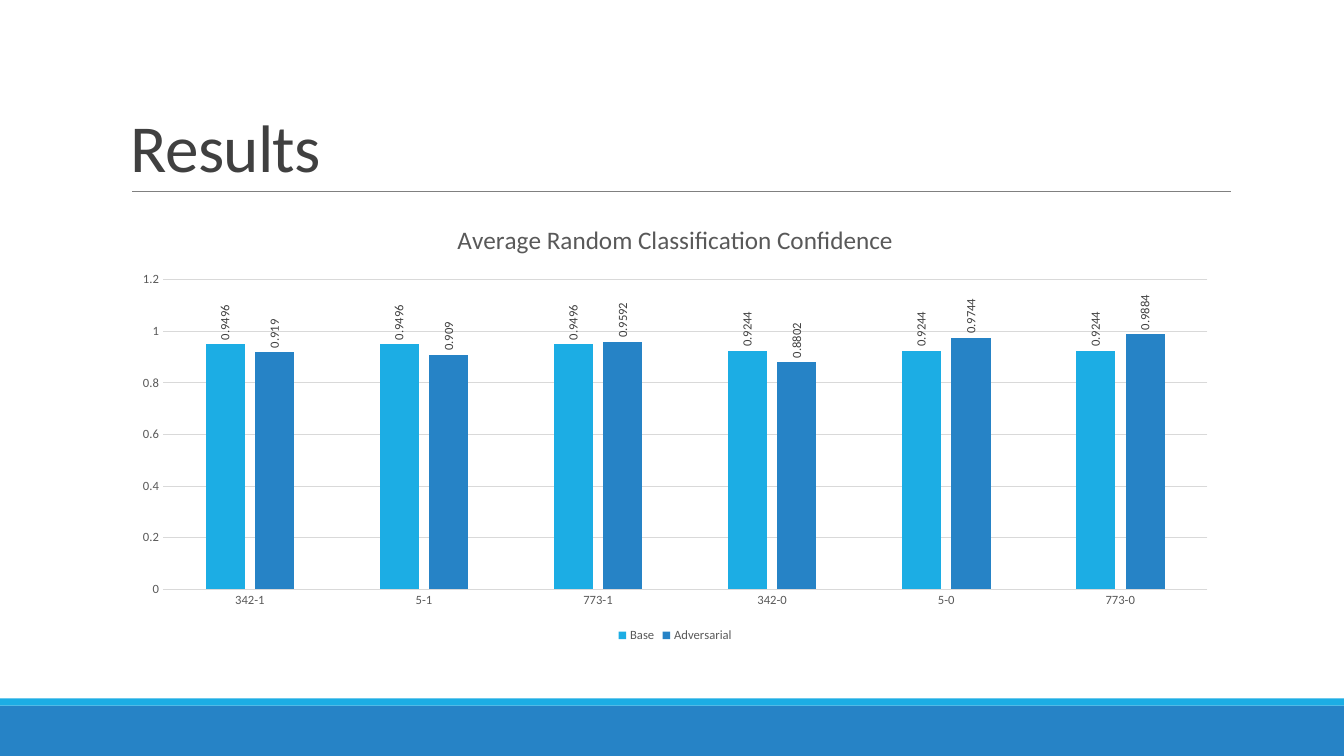
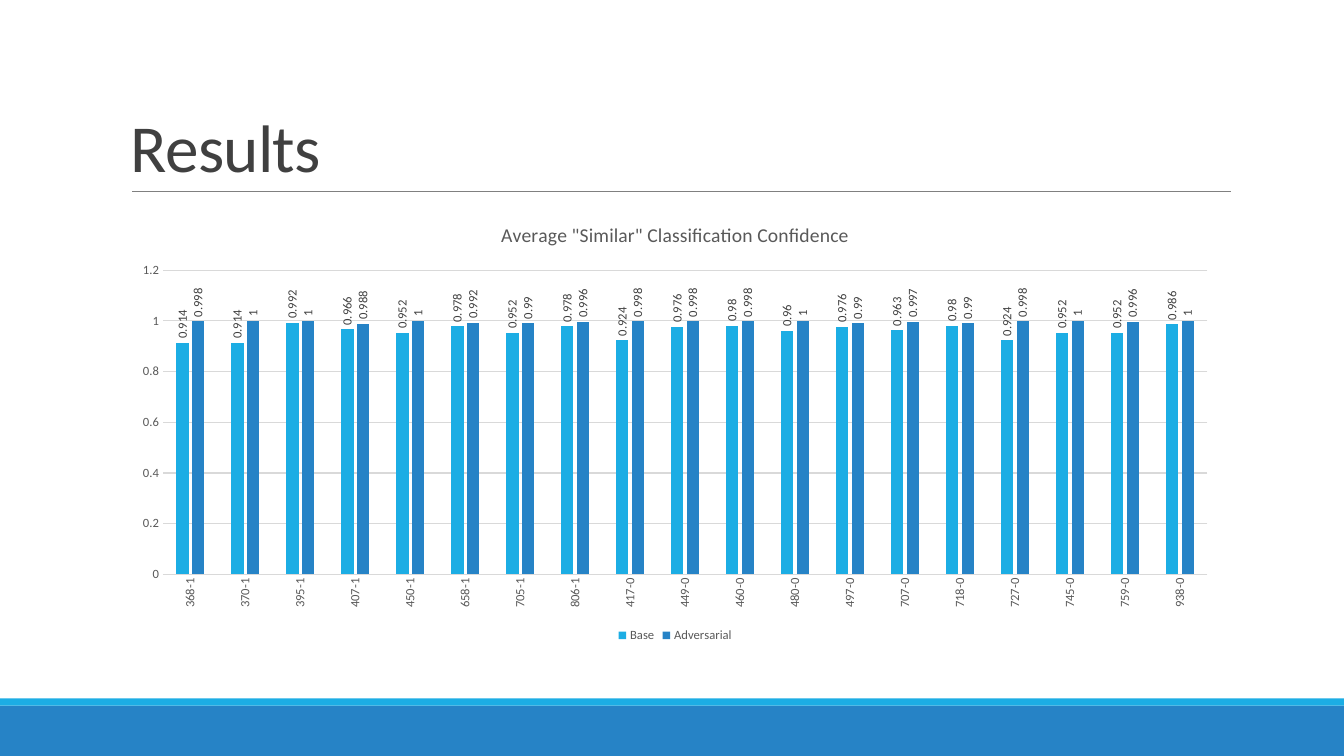
from pptx import Presentation
from pptx import util as u
from pptx.chart.data import CategoryChartData
from pptx.dml.color import RGBColor
from pptx.enum import chart as ch, shapes, text
from pptx.oxml.xmlchemy import OxmlElement

PX = 9525
WIDTH, HEIGHT = 1280, 720
FONT = "Calibri"
SKY = RGBColor(0x1C, 0xAD, 0xE4)
BLUE = RGBColor(0x26, 0x83, 0xC6)
RULE_GRAY = RGBColor(0x80, 0x80, 0x80)
INK = RGBColor(0x40, 0x40, 0x40)
MUTED = RGBColor(0x59, 0x59, 0x59)
GRID_GRAY = RGBColor(0xD9, 0xD9, 0xD9)

TITLE_BOX = (115, 30, 1056, 152)
CHART_BOX = (115, 194, 1056, 422)
RULE = (126, 182, 1172, 182)
BANDS = [((0, 672, WIDTH, 48), BLUE), ((0, 665, WIDTH, 7), SKY)]
SERIES_COLORS = {"Base": SKY, "Adversarial": BLUE}
UPRIGHT = "-5400000"

RESULTS = [
    {
        "heading": "Results",
        "caption": "Average Random Classification Confidence",
        "caption_size": 18,
        "upright_categories": False,
        "categories": ["342-1", "5-1", "773-1", "342-0", "5-0", "773-0"],
        "Base": [0.9496, 0.9496, 0.9496, 0.9244, 0.9244, 0.9244],
        "Adversarial": [0.919, 0.909, 0.9592, 0.8802, 0.9744, 0.9884],
    },
    {
        "heading": "Results",
        "caption": 'Average "Similar" Classification Confidence',
        "caption_size": 14,
        "upright_categories": True,
        "categories": [
            "368-1", "370-1", "395-1", "407-1", "450-1", "658-1", "705-1",
            "806-1", "417-0", "449-0", "460-0", "480-0", "497-0", "707-0",
            "718-0", "727-0", "745-0", "759-0", "938-0",
        ],
        "Base": [
            0.914, 0.914, 0.992, 0.966, 0.952, 0.978, 0.952, 0.978, 0.924, 0.976,
            0.98, 0.96, 0.976, 0.963, 0.98, 0.924, 0.952, 0.952, 0.986,
        ],
        "Adversarial": [
            0.998, 1, 1, 0.988, 1, 0.992, 0.99, 0.996, 0.998, 0.998,
            0.998, 1, 0.99, 0.997, 0.99, 0.998, 1, 0.996, 1,
        ],
    },
]


def emu(box):
    return [value * PX for value in box]


def style(font, size, color):
    font.name = FONT
    font.size = u.Pt(size)
    font.bold = False
    font.color.rgb = color


def draw_line(line, color, width):
    line.color.rgb = color
    line.width = u.Pt(width)


def set_up_layout(layout, slide):
    title = layout.placeholders[0]
    title.left, title.top, title.width, title.height = emu(TITLE_BOX)
    for box, color in BANDS:
        band = slide.shapes.add_shape(shapes.MSO_SHAPE.RECTANGLE, *emu(box))
        band.shadow.inherit = False
        band.fill.solid()
        band.fill.fore_color.rgb = color
        band.line.fill.background()
        layout.shapes.element.append(band.element)
    rule = slide.shapes.add_connector(shapes.MSO_CONNECTOR.STRAIGHT, *emu(RULE))
    draw_line(rule.line, RULE_GRAY, 0.5)
    rule.element.spPr.append(OxmlElement("a:effectLst"))
    layout.shapes.element.append(rule.element)


def add_heading(slide, wording):
    title = slide.shapes.title
    frame = title.text_frame
    frame.vertical_anchor = text.MSO_ANCHOR.BOTTOM
    paragraph = frame.paragraphs[0]
    paragraph.alignment = text.PP_ALIGN.LEFT
    paragraph.line_spacing = 0.85
    run = paragraph.add_run()
    run.text = wording
    style(run.font, 48, INK)
    title.element.xpath(".//a:rPr")[0].set("spc", "-50")


def add_confidence_chart(slide, result):
    data = CategoryChartData()
    data.categories = result["categories"]
    for name in SERIES_COLORS:
        data.add_series(name, result[name])
    chart = slide.shapes.add_chart(
        ch.XL_CHART_TYPE.COLUMN_CLUSTERED, *emu(CHART_BOX), data).chart
    chart.font.name = FONT
    chart.font.size = u.Pt(10)

    caption = chart.chart_title.text_frame.paragraphs[0].add_run()
    caption.text = result["caption"]
    style(caption.font, result["caption_size"], MUTED)

    chart.has_legend = True
    chart.legend.position = ch.XL_LEGEND_POSITION.BOTTOM
    chart.legend.include_in_layout = False
    style(chart.legend.font, 9, MUTED)

    for axis in (chart.category_axis, chart.value_axis):
        axis.major_tick_mark = axis.minor_tick_mark = ch.XL_TICK_MARK.NONE
        style(axis.tick_labels.font, 9, MUTED)
    draw_line(chart.category_axis.format.line, GRID_GRAY, 0.75)
    scale = chart.value_axis
    scale.minimum_scale, scale.maximum_scale, scale.major_unit = 0, 1.2, 0.2
    scale.format.line.fill.background()
    draw_line(scale.major_gridlines.format.line, GRID_GRAY, 0.75)

    plot = chart.plots[0]
    plot.gap_width, plot.overlap = 219, -27
    plot.vary_by_categories = False
    for series in plot.series:
        series.format.fill.solid()
        series.format.fill.fore_color.rgb = SERIES_COLORS[series.name]
        labels = series.data_labels
        labels.show_value = True
        labels.position = ch.XL_LABEL_POSITION.OUTSIDE_END
        style(labels.font, 9, INK)

    upright = chart.element.xpath(".//c:dLbls/c:txPr/a:bodyPr")
    if result["upright_categories"]:
        upright += chart.element.xpath(".//c:catAx/c:txPr/a:bodyPr")
    for body in upright:
        body.set("rot", UPRIGHT)
        body.set("vert", "horz")


def main():
    deck = Presentation()
    deck.slide_width, deck.slide_height = emu((WIDTH, HEIGHT))
    layout = deck.slide_layouts[5]
    for index, result in enumerate(RESULTS):
        slide = deck.slides.add_slide(layout)
        if index == 0:
            set_up_layout(layout, slide)
        add_heading(slide, result["heading"])
        add_confidence_chart(slide, result)
    deck.save("out.pptx")


if __name__ == "__main__":
    main()
